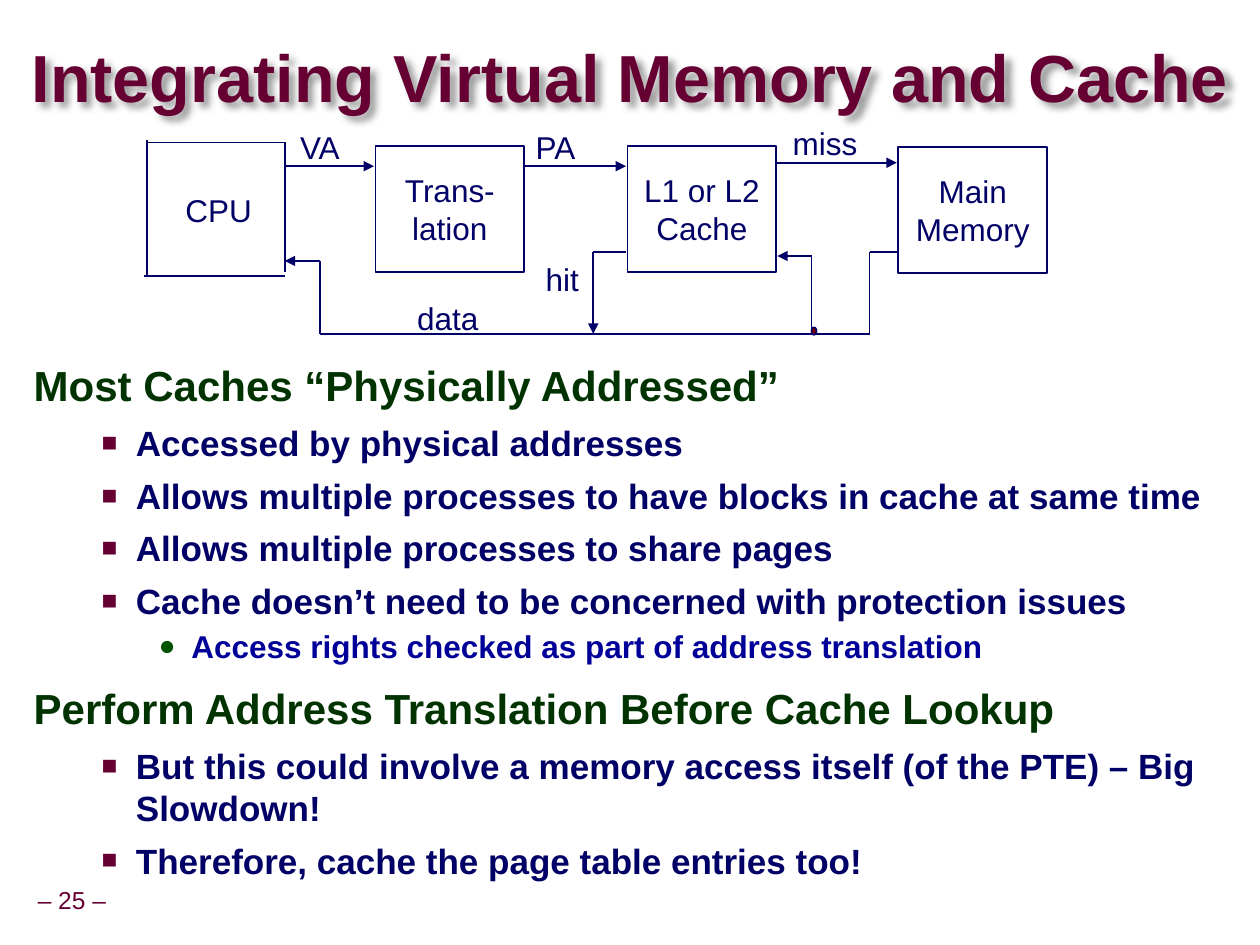
from itertools import pairwise

from lxml.etree import SubElement
from pptx import Presentation
from pptx.dml.color import RGBColor
from pptx.enum.shapes import MSO_CONNECTOR as Connector, MSO_SHAPE as Shape
from pptx.enum.text import MSO_ANCHOR as Anchor, MSO_AUTO_SIZE as AutoSize, PP_ALIGN as Align
from pptx.oxml.ns import qn
from pptx.util import Cm, Pt

NAVY = RGBColor(0x00, 0x00, 0x66)
BLUE = RGBColor(0x00, 0x00, 0x99)
WINE = RGBColor(0x66, 0x00, 0x33)
MAROON = RGBColor(0x80, 0x00, 0x00)
DARK_GREEN = RGBColor(0x00, 0x33, 0x00)
BULLET_GREEN = RGBColor(0x00, 0x54, 0x00)

# Content: text as (level, wording)
TITLE = "Integrating Virtual Memory and Cache"
PAGE_NUMBER = "– 25 –"
BODY = [
    (0, "Most Caches “Physically Addressed”"),
    (1, "Accessed by physical addresses"),
    (1, "Allows multiple processes to have blocks in cache at same time"),
    (1, "Allows multiple processes to share pages"),
    (1, "Cache doesn’t need to be concerned with protection issues"),
    (2, "Access rights checked as part of address translation"),
    (0, "Perform Address Translation Before Cache Lookup"),
    (1, "But this could involve a memory access itself (of the PTE) – Big Slowdown!"),
    (1, "Therefore, cache the page table entries too!"),
]
LEVELS = [
    dict(size=24, color=DARK_GREEN, line=0.95, before=12, margin=1.07, hang=1.07, bullet=None),
    dict(size=20, color=NAVY, line=1.0, before=6, margin=2.06, hang=0.69,
         bullet=("■", WINE, 75)),
    dict(size=18, color=BLUE, line=1.07, before=2, margin=3.18, hang=0.66,
         bullet=("●", BULLET_GREEN, 90)),
]

# Diagram, in centimetres
BOX_SIZE = (3, 2.54)
BOXES = [
    (("Trans-", "lation"), 7.57, 2.95),
    (("L1 or L2", "Cache"), 12.65, 2.95),
    (("Main", "Memory"), 18.11, 2.97),
]
LABELS = [
    ("CPU", 3.56, 3.89, 1.7),
    ("VA", 5.87, 2.62, 1.19),
    ("PA", 10.62, 2.62, 1.19),
    ("miss", 15.8, 2.54, 1.65),
    ("hit", 10.82, 5.28, 1.02),
    ("data", 8.23, 6.07, 1.57),
]
BUS = 6.73
CPU_EDGES = [
    [(2.97, 2.87), (5.74, 2.87)],
    [(5.74, 2.87), (5.74, 5.49)],
    [(5.74, 5.56), (2.9, 5.56)],
    [(2.97, 5.56), (2.97, 2.82)],
]
ARROWS = [
    [(5.77, 3.35), (7.54, 3.35)],
    [(10.54, 3.35), (12.62, 3.35)],
    [(15.65, 3.28), (18.08, 3.28)],
    [(18.08, 5.08), (17.53, 5.08), (17.53, BUS), (6.45, BUS), (6.45, 5.26), (5.74, 5.26)],
    [(16.36, BUS), (16.36, 5.16), (15.67, 5.16)],
    [(12.62, 5.08), (11.96, 5.08), (11.96, BUS)],
]


def set_values(target, **values):
    for name, value in values.items():
        setattr(target, name, value)


def add_element(parent, tag, **attributes):
    return SubElement(parent, qn(tag), attributes)


def write(paragraph, text, size, color, bold=False):
    run = paragraph.add_run()
    run.text = text
    set_values(run.font, name="Arial", size=Pt(size), bold=bold)
    run.font.color.rgb = color


def set_frame(frame, inset_x, inset_y, anchor=Anchor.TOP, wrap=False):
    set_values(frame, margin_left=Cm(inset_x), margin_right=Cm(inset_x),
               margin_top=Cm(inset_y), margin_bottom=Cm(inset_y),
               vertical_anchor=anchor, word_wrap=wrap, auto_size=AutoSize.NONE)


def place(shape, left, top, width, height):
    set_values(shape, left=Cm(left), top=Cm(top), width=Cm(width), height=Cm(height))


def add_label(slide, text, left, top, width, size=18, color=NAVY, spacing=0.85):
    box = slide.shapes.add_textbox(Cm(left), Cm(top), Cm(width), Cm(0.79))
    set_frame(box.text_frame, 0.18, 0.08)
    paragraph = box.text_frame.paragraphs[0]
    paragraph.line_spacing = spacing
    write(paragraph, text, size, color)
    return box


def add_shape(slide, kind, left, top, width, height):
    shape = slide.shapes.add_shape(kind, Cm(left), Cm(top), Cm(width), Cm(height))
    shape.shadow.inherit = False
    shape.fill.background()
    shape.line.color.rgb = NAVY
    shape.line.width = Pt(1)
    return shape


def add_path(slide, points, arrow=False):
    for start, end in pairwise(points):
        line = slide.shapes.add_connector(Connector.STRAIGHT, *map(Cm, start + end))
        line.line.color.rgb = NAVY
        line.line.width = Pt(1)
        add_element(line._element.spPr, "a:effectLst")
        if arrow and end == points[-1]:
            add_element(line.line._get_or_add_ln(), "a:tailEnd", type="triangle")


def add_body_paragraph(paragraph, level, text, first):
    style = LEVELS[level]
    set_values(paragraph, level=level, alignment=Align.LEFT, line_spacing=style["line"],
               space_before=Pt(0 if first else style["before"]))
    properties = paragraph._p.get_or_add_pPr()
    properties.set("marL", str(Cm(style["margin"])))
    properties.set("indent", str(-Cm(style["hang"])))
    if style["bullet"]:
        character, color, percent = style["bullet"]
        add_element(add_element(properties, "a:buClr"), "a:srgbClr", val=str(color))
        add_element(properties, "a:buSzPct", val=str(percent * 1000))
        add_element(properties, "a:buFont", typeface="Arial")
        add_element(properties, "a:buChar", char=character)
    else:
        add_element(properties, "a:buNone")
    write(paragraph, text, style["size"], style["color"], bold=True)


def main():
    presentation = Presentation()
    set_values(presentation, slide_width=Cm(25.4), slide_height=Cm(19.05))
    slide = presentation.slides.add_slide(presentation.slide_layouts[1])

    # Page number
    number = add_label(slide, PAGE_NUMBER, 0.61, 17.78, 1.68, 14, WINE, 0.9)
    set_frame(number.text_frame, 0.13, 0.13, Anchor.MIDDLE)
    number.text_frame.paragraphs[0].alignment = Align.CENTER

    # Diagram
    for edge in CPU_EDGES:
        add_path(slide, edge)
    for lines, left, top in BOXES:
        frame = add_shape(slide, Shape.RECTANGLE, left, top, *BOX_SIZE).text_frame
        set_frame(frame, 0.25, 0.13, Anchor.MIDDLE)
        for index, text in enumerate(lines):
            paragraph = frame.add_paragraph() if index else frame.paragraphs[0]
            paragraph.alignment = Align.CENTER
            write(paragraph, text, 18, NAVY)
    for points in ARROWS:
        add_path(slide, points, arrow=True)
    junction = add_shape(slide, Shape.OVAL, 16.36, 6.6, 0.1, 0.15)
    junction.fill.solid()
    junction.fill.fore_color.rgb = MAROON
    for label in LABELS:
        add_label(slide, *label)

    # Title with soft shadow
    title = slide.shapes.title
    place(title, 0.64, 0.84, 24.56, 1.6)
    set_frame(title.text_frame, 0, 0, Anchor.MIDDLE, wrap=True)
    paragraph = title.text_frame.paragraphs[0]
    set_values(paragraph, alignment=Align.LEFT, line_spacing=0.87)
    write(paragraph, TITLE, 38, WINE, bold=True)
    effects = add_element(title._element.spPr, "a:effectLst")
    shadow = add_element(effects, "a:outerShdw", blurRad=str(Pt(4)), dist=str(Pt(4)),
                         dir="2700000", algn="tl", rotWithShape="0")
    color = add_element(shadow, "a:srgbClr", val="000000")
    add_element(color, "a:alpha", val="40000")

    # Body list
    body = slide.placeholders[1]
    place(body, 0.43, 7.19, 24.13, 10.49)
    frame = body.text_frame
    set_frame(frame, 0.25, 0.13, wrap=True)
    for index, (level, text) in enumerate(BODY):
        paragraph = frame.add_paragraph() if index else frame.paragraphs[0]
        add_body_paragraph(paragraph, level, text, first=index == 0)

    presentation.save("out.pptx")


if __name__ == "__main__":
    main()
